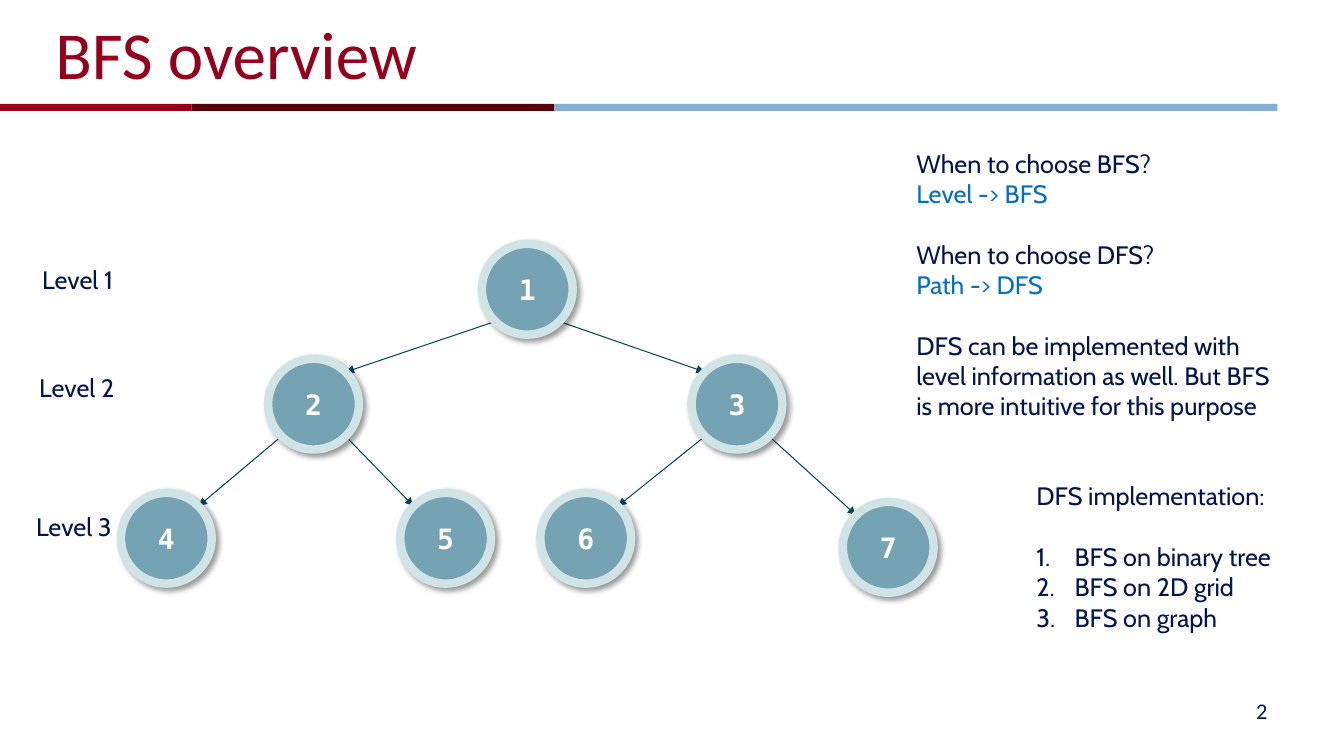
"""Build the BFS overview slide: a three-level binary tree with notes."""
from lxml.etree import SubElement
from pptx import Presentation
from pptx.dml.color import RGBColor
from pptx.enum.shapes import MSO_CONNECTOR, MSO_SHAPE
from pptx.enum.text import MSO_ANCHOR, MSO_AUTO_SIZE, PP_ALIGN
from pptx.oxml import parse_xml
from pptx.oxml.ns import nsdecls, qn
from pptx.util import Inches, Pt

COLORS = {
    "red": "95001A", "maroon": "57000A", "sky": "82AFD3", "navy": "00144D",
    "answer": "0070C0", "edge": "07465A", "node": "75A3B4", "ring": "D0E4E6",
    "white": "FFFFFF",
}
NODE_SIZE = 0.9
SITE_OFFSET = 0.32
BLANK_LINE = Pt(21.7)


def add_run(paragraph, text, size, font, color, bold=False):
    run = paragraph.add_run()
    run.text = text
    run.font.size = Pt(size)
    run.font.name = font
    run.font.bold = bold
    run.font.color.rgb = RGBColor.from_string(COLORS[color])


def add_text(slide, left, top, width, height, lines, size=18, font="Cabin"):
    box = slide.shapes.add_textbox(Inches(left), Inches(top), Inches(width), Inches(height))
    frame = box.text_frame
    frame.word_wrap = True
    for index, (text, color, gap) in enumerate(lines):
        paragraph = frame.add_paragraph() if index else frame.paragraphs[0]
        if gap:
            paragraph.space_before = BLANK_LINE
        add_run(paragraph, text, size, font, color)
    return frame


presentation = Presentation()
presentation.slide_width = Inches(13.33)
presentation.slide_height = Inches(7.5)
slide = presentation.slides.add_slide(presentation.slide_layouts[5])

title = slide.shapes.title
title.left, title.top = Inches(0.45), Inches(0.02)
title.width, title.height = Inches(12), Inches(1.01)
title.text_frame.auto_size = MSO_AUTO_SIZE.NONE
title.text_frame.vertical_anchor = MSO_ANCHOR.MIDDLE
title.text_frame.paragraphs[0].alignment = PP_ALIGN.LEFT
add_run(title.text_frame.paragraphs[0], "BFS overview", 48, "Calibri", "red")

for left, width, color in [(-0.01, 1.91, "red"), (1.9, 3.6, "maroon"), (5.5, 7.17, "sky")]:
    bar = slide.shapes.add_shape(
        MSO_SHAPE.RECTANGLE, Inches(left), Inches(1.03), Inches(width), Inches(0.07))
    bar.shadow.inherit = False
    bar.fill.solid()
    bar.fill.fore_color.rgb = RGBColor.from_string(COLORS[color])
    bar.line.fill.background()

node_centers = {
    1: (5.23, 2.87), 2: (3.11, 4.01), 3: (7.31, 4.01), 4: (1.65, 5.34),
    5: (4.42, 5.34), 6: (5.81, 5.34), 7: (8.81, 5.43),
}

for child in range(2, 8):
    parent_x, parent_y = node_centers[child // 2]
    child_x, child_y = node_centers[child]
    shift = SITE_OFFSET if child_x > parent_x else -SITE_OFFSET
    edge = slide.shapes.add_connector(
        MSO_CONNECTOR.STRAIGHT,
        Inches(parent_x + shift), Inches(parent_y + SITE_OFFSET),
        Inches(child_x - shift), Inches(child_y - SITE_OFFSET))
    edge.line.color.rgb = RGBColor.from_string(COLORS["edge"])
    edge.line.width = Pt(0.75)
    SubElement(edge.line._get_or_add_ln(), qn("a:tailEnd"), type="triangle")
    SubElement(edge._element.spPr, qn("a:effectLst"))

for number, (center_x, center_y) in node_centers.items():
    node = slide.shapes.add_shape(
        MSO_SHAPE.OVAL, Inches(center_x - NODE_SIZE / 2), Inches(center_y - NODE_SIZE / 2),
        Inches(NODE_SIZE), Inches(NODE_SIZE))
    node.fill.solid()
    node.fill.fore_color.rgb = RGBColor.from_string(COLORS["node"])
    node.line.color.rgb = RGBColor.from_string(COLORS["ring"])
    node.line.width = Pt(6)
    node._element.spPr.append(parse_xml(
        f'<a:effectLst {nsdecls("a")}><a:outerShdw blurRad="{Pt(4)}" dist="{Pt(3)}" '
        'dir="2700000" algn="tl" rotWithShape="0"><a:srgbClr val="000000">'
        '<a:alpha val="40000"/></a:srgbClr></a:outerShdw></a:effectLst>'))
    node.text_frame.vertical_anchor = MSO_ANCHOR.MIDDLE
    node.text_frame.paragraphs[0].alignment = PP_ALIGN.CENTER
    add_run(node.text_frame.paragraphs[0], str(number), 20, "DejaVu Sans Mono", "white", True)

for level, (left, top) in enumerate([(0.32, 2.57), (0.29, 3.64), (0.26, 5.02)], start=1):
    add_text(slide, left, top, 1.01, 0.4, [(f"Level {level}", "navy", False)])

add_text(slide, 8.99, 1.42, 3.82, 2.83, [
    ("When to choose BFS?", "navy", False),
    ("Level -> BFS", "answer", False),
    ("When to choose DFS?", "navy", True),
    ("Path -> DFS", "answer", False),
    ("DFS can be implemented with level information as well. "
     "But BFS is more intuitive for this purpose", "navy", True),
])

implementation = add_text(slide, 10.18, 4.72, 3.15, 1.62, [
    ("DFS implementation:", "navy", False),
    ("BFS on binary tree", "navy", True),
    ("BFS on 2D grid", "navy", False),
    ("BFS on graph", "navy", False),
])
for paragraph in implementation.paragraphs[1:]:
    properties = paragraph._p.get_or_add_pPr()
    properties.set("marL", str(Inches(0.38)))
    properties.set("indent", str(Inches(-0.38)))
    SubElement(properties, qn("a:buFont"), typeface="+mj-lt")
    SubElement(properties, qn("a:buAutoNum"), type="arabicPeriod")

page_number = add_text(slide, 9.56, 6.85, 3.11, 0.4, [("2", "navy", False)], 16, "Calibri")
page_number.vertical_anchor = MSO_ANCHOR.MIDDLE
page_number.paragraphs[0].alignment = PP_ALIGN.RIGHT

presentation.save("out.pptx")
